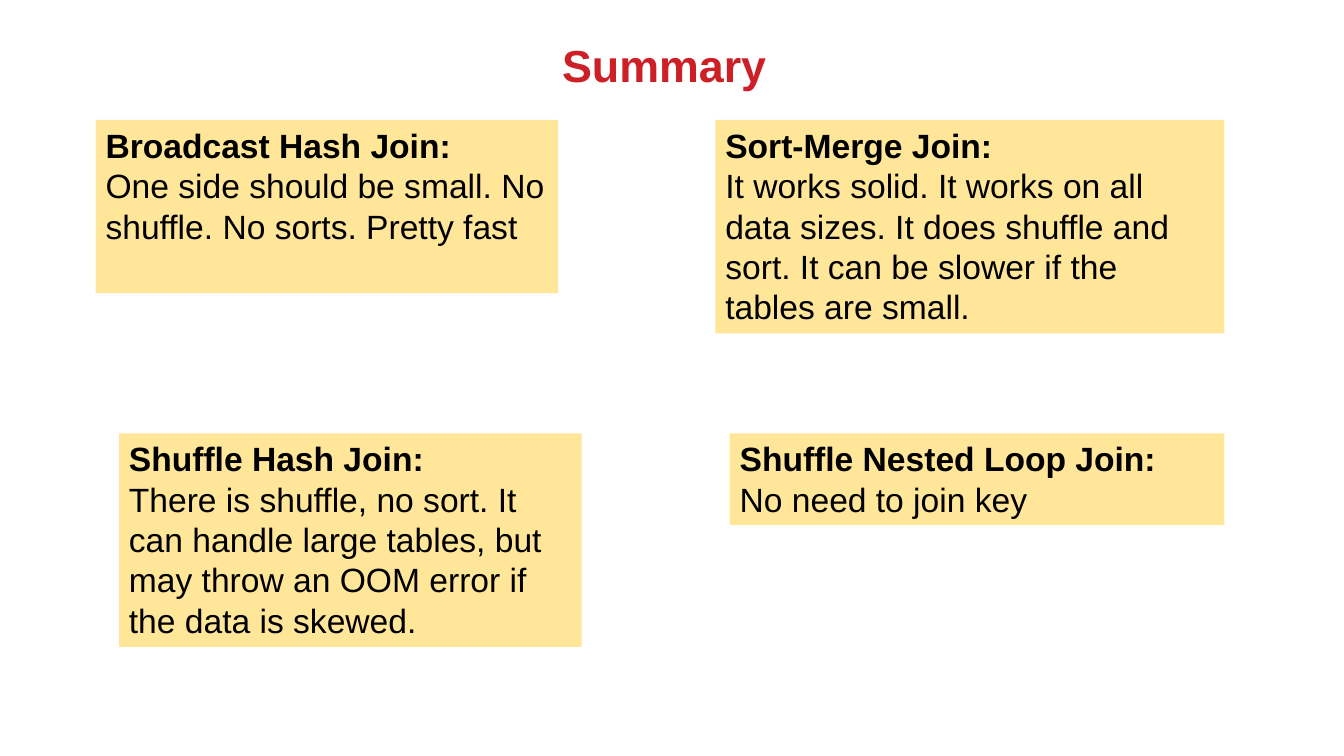
from dataclasses import dataclass

from pptx import Presentation
from pptx.dml.color import RGBColor
from pptx.enum.shapes import MSO_SHAPE
from pptx.enum.text import MSO_ANCHOR, PP_ALIGN
from pptx.util import Cm, Pt

RECTANGLE = MSO_SHAPE.RECTANGLE
TOP, BOTTOM = MSO_ANCHOR.TOP, MSO_ANCHOR.BOTTOM
LEFT, CENTER = PP_ALIGN.LEFT, PP_ALIGN.CENTER
BLANK_LAYOUT = 6


@dataclass(frozen=True)
class Theme:
    font: str = "Arial"
    title_color: RGBColor = RGBColor(0xCD, 0x1F, 0x26)
    text_color: RGBColor = RGBColor(0x00, 0x00, 0x00)
    card_fill: RGBColor = RGBColor(0xFF, 0xE6, 0x99)
    title_size: Pt = Pt(32)
    body_size: Pt = Pt(24)


THEME = Theme()

UPPER_ROW, LOWER_ROW = 3.02, 10.92
LEFT_WIDTH = 11.66
RIGHT_EDGE = 30.86
TALL = 5.38

# Box (left, top, width, height in cm), heading, description
JOINS = [
    ((2.41, UPPER_ROW, LEFT_WIDTH, 4.37), "Broadcast Hash Join:",
     "One side should be small. No shuffle. No sorts. Pretty fast"),
    ((18.03, UPPER_ROW, RIGHT_EDGE - 18.03, TALL), "Sort-Merge Join:",
     "It works solid. It works on all data sizes. It does shuffle and sort. "
     "It can be slower if the tables are small."),
    ((3, LOWER_ROW, LEFT_WIDTH, TALL), "Shuffle Hash Join:",
     "There is shuffle, no sort. It can handle large tables, "
     "but may throw an OOM error if the data is skewed."),
    ((18.39, LOWER_ROW, RIGHT_EDGE - 18.39, 2.31), "Shuffle Nested Loop Join:",
     "No need to join key"),
]


def add_run(paragraph, text, size, color, bold):
    run = paragraph.add_run()
    run.text = text
    run.font.name = THEME.font
    run.font.size = size
    run.font.bold = bold
    run.font.color.rgb = color


def add_title(slide, box, text):
    frame = slide.shapes.add_textbox(*map(Cm, box)).text_frame
    frame.word_wrap = True
    frame.vertical_anchor = BOTTOM
    paragraph = frame.paragraphs[0]
    paragraph.alignment = CENTER
    paragraph.line_spacing = 0.9
    add_run(paragraph, text, THEME.title_size, THEME.title_color, True)


def add_join_card(slide, box, heading, description):
    card = slide.shapes.add_shape(RECTANGLE, *map(Cm, box))
    card.shadow.inherit = False
    card.fill.solid()
    card.fill.fore_color.rgb = THEME.card_fill
    card.line.fill.background()
    frame = card.text_frame
    frame.word_wrap = True
    frame.vertical_anchor = TOP
    paragraphs = frame.paragraphs[0], frame.add_paragraph()
    for paragraph, text, bold in zip(paragraphs, (heading, description), (True, False)):
        paragraph.alignment = LEFT
        add_run(paragraph, text, THEME.body_size, THEME.text_color, bold)


def main():
    presentation = Presentation()
    presentation.slide_width = Cm(33.87)
    presentation.slide_height = Cm(19.05)
    slide = presentation.slides.add_slide(presentation.slide_layouts[BLANK_LAYOUT])
    add_title(slide, (4.04, 0.58, 25.4, 1.88), "Summary")
    for box, heading, description in JOINS:
        add_join_card(slide, box, heading, description)
    presentation.save("out.pptx")


if __name__ == "__main__":
    main()
